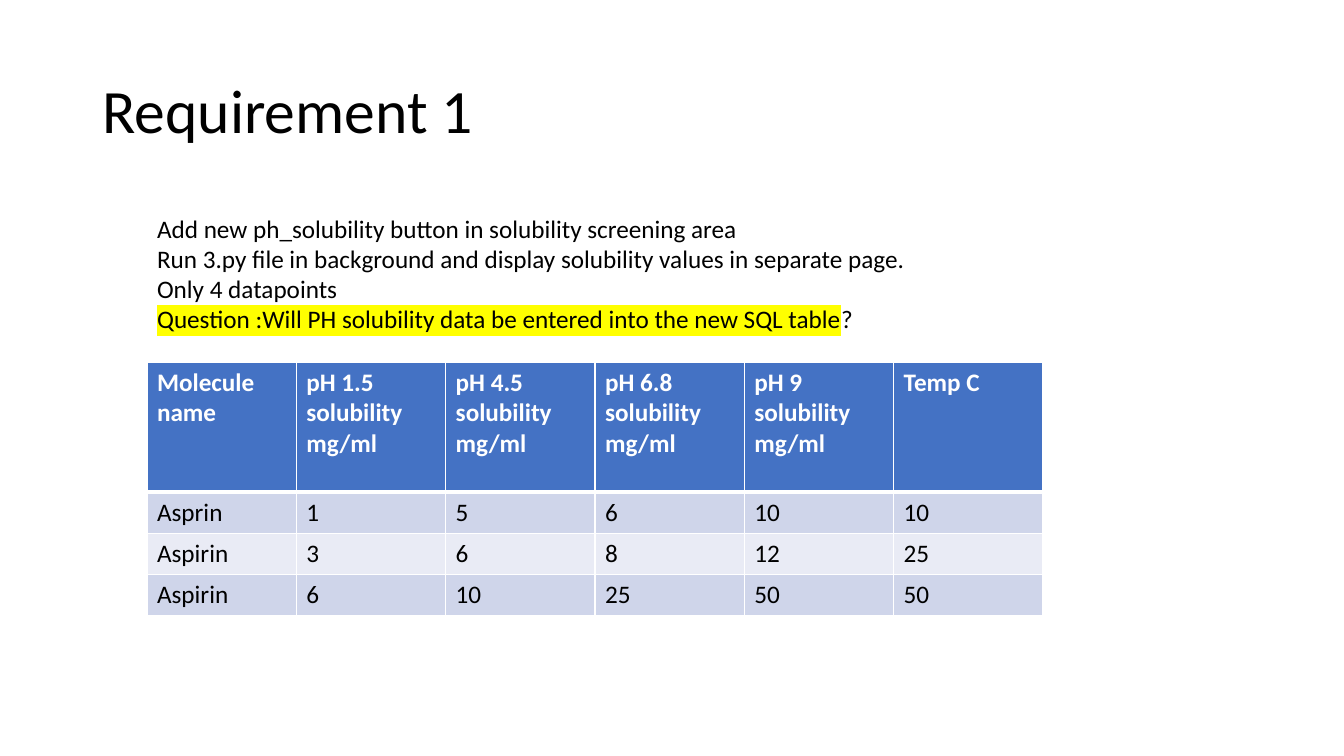
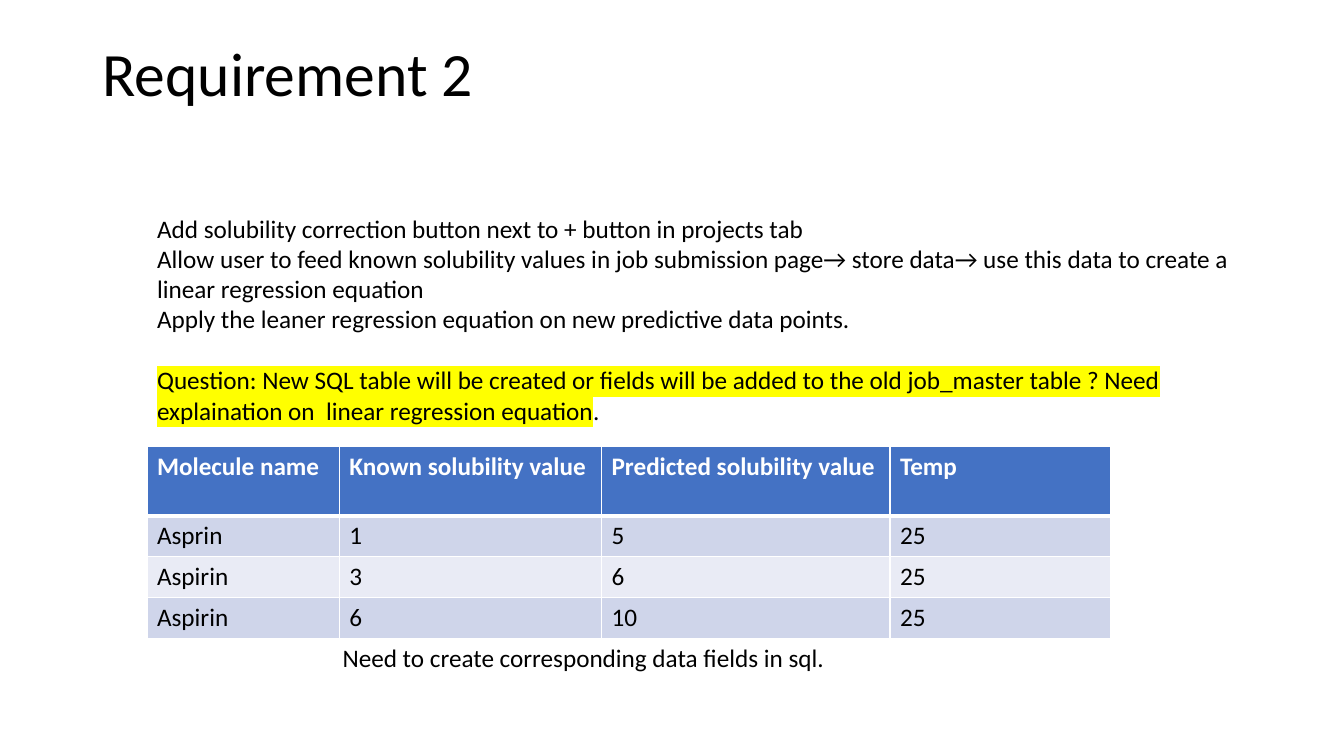
from lxml.etree import SubElement
from pptx import Presentation
from pptx.dml.color import RGBColor
from pptx.enum.text import MSO_ANCHOR, MSO_AUTO_SIZE, PP_ALIGN
from pptx.oxml.ns import qn
from pptx.util import Inches, Pt

UNIT = Inches(1) / 12
GRID_COLUMNS, GRID_ROWS = 160, 90
FONT = "Calibri"
BLACK, WHITE, YELLOW = "000000", "FFFFFF", "FFFF00"
HEADER_FILL = "4472C4"
BAND_FILLS = ("CFD5EA", "E9EBF5")
TITLE_SIZE, TEXT_SIZE = 44, 18
LINE_GAP = 22
LEFT = 17.5
BODY_TOP, BODY_WIDTH = 24.75, 131.5

REQUIREMENTS = [
    {
        "title": "Requirement 1",
        "title_top": 4.8,
        "lines": [
            "Add new ph_solubility button in solubility screening area",
            "Run 3.py file in background and display solubility values in separate page.",
            "Only 4 datapoints",
        ],
        "question": ("Question :Will PH solubility data be entered into the new SQL table", "?"),
        "question_gap": 0,
        "body_height": 15.75,
        "table_top": 43.1,
        "column_widths": [17.78] * 6,
        "row_heights": [15.5] + [4.89] * 3,
        "rows": [
            ["Molecule name", "pH 1.5 solubility mg/ml", "pH 4.5 solubility mg/ml",
             "pH 6.8 solubility mg/ml", "pH 9 solubility mg/ml", "Temp C"],
            ["Asprin", "1", "5", "6", "10", "10"],
            ["Aspirin", "3", "6", "8", "12", "25"],
            ["Aspirin", "6", "10", "25", "50", "50"],
        ],
    },
    {
        "title": "Requirement 2",
        "title_top": 0.4,
        "lines": [
            "Add solubility correction button next to + button in projects tab",
            "Allow user to feed known solubility values in job submission page→ store data"
            "→ use this data to create a linear regression equation",
            "Apply the leaner regression equation on new predictive data points.",
        ],
        "question": (
            "Question: New SQL table will be created or fields will be added to the old "
            "job_master table ? Need explaination on  linear regression equation", "."),
        "question_gap": LINE_GAP,
        "body_height": 27,
        "table_top": 53.1,
        "column_widths": [22.9, 31.2, 34.35, 26.25],
        "row_heights": [8.3] + [4.82] * 3,
        "rows": [
            ["Molecule name", "Known solubility value", "Predicted solubility value", "Temp"],
            ["Asprin", "1", "5", "25"],
            ["Aspirin", "3", "6", "25"],
            ["Aspirin", "6", "10", "25"],
        ],
        "caption": "Need to create corresponding data fields in sql.",
    },
]


def colour(value):
    return RGBColor.from_string(value)


def grid(*lengths):
    return [round(length * UNIT) for length in lengths]


def move(shape, box):
    shape.left, shape.top, shape.width, shape.height = grid(*box)


def style(para, size=TEXT_SIZE, hue=BLACK, bold=False):
    para.alignment = PP_ALIGN.LEFT
    para.space_before = Pt(0)
    para.font.name = FONT
    para.font.size = Pt(size)
    para.font.bold = bold
    para.font.color.rgb = colour(hue)


def remove_bullet(para):
    properties = para._p.get_or_add_pPr()
    properties.set("marL", "0")
    properties.set("indent", "0")
    properties.insert_element_before(
        properties.makeelement(qn("a:buNone"), {}), "a:tabLst", "a:defRPr", "a:extLst")


def highlight(span, hue):
    mark = SubElement(span._r.get_or_add_rPr(), qn("a:highlight"))
    SubElement(mark, qn("a:srgbClr")).set("val", hue)


def add_title(page, box, text):
    title = page.shapes.title
    move(title, box)
    frame = title.text_frame
    frame.auto_size = MSO_AUTO_SIZE.NONE
    frame.vertical_anchor = MSO_ANCHOR.MIDDLE
    frame.text = text
    para = frame.paragraphs[0]
    style(para, TITLE_SIZE)
    para.line_spacing = 0.9


def add_body(page, box, lines, question, question_gap):
    body = page.placeholders[1]
    move(body, box)
    frame = body.text_frame
    frame.auto_size = MSO_AUTO_SIZE.NONE
    frame.vertical_anchor = MSO_ANCHOR.TOP
    frame.text = "\n".join(lines)
    last = frame.add_paragraph()
    marked, ending = question
    for text in question:
        span = last.add_run()
        span.text = text
        if text == marked:
            highlight(span, YELLOW)
    for para in frame.paragraphs:
        style(para)
        remove_bullet(para)
    last.space_before = Pt(question_gap)


def add_borders(cell, top, bottom):
    properties = cell._tc.get_or_add_tcPr()
    for side, width in (("L", 1), ("R", 1), ("T", top), ("B", bottom)):
        line = SubElement(properties, qn(f"a:ln{side}"), w=str(Pt(width)))
        fill = SubElement(line, qn("a:solidFill"))
        SubElement(fill, qn("a:srgbClr")).set("val", WHITE)


def add_data_table(page, left, top, column_widths, row_heights, rows):
    box = grid(left, top, sum(column_widths), sum(row_heights))
    table = page.shapes.add_table(len(rows), len(column_widths), *box).table
    for column, width in zip(table.columns, grid(*column_widths)):
        column.width = width
    for row, height in zip(table.rows, grid(*row_heights)):
        row.height = height
    for index, texts in enumerate(rows):
        header = index == 0
        for cell, text in zip(table.rows[index].cells, texts):
            add_borders(cell, 3 if index == 1 else 1, 3 if header else 1)
            cell.fill.solid()
            cell.fill.fore_color.rgb = colour(HEADER_FILL if header else BAND_FILLS[(index - 1) % 2])
            cell.text = text
            style(cell.text_frame.paragraphs[0], hue=WHITE if header else BLACK, bold=header)


def add_caption(page, box, text):
    frame = page.shapes.add_textbox(*grid(*box)).text_frame
    frame.word_wrap = True
    frame.text = text
    style(frame.paragraphs[0])


def add_requirement(deck, content):
    page = deck.slides.add_slide(deck.slide_layouts[1])
    add_title(page, (11, content["title_top"], 138, 17.4), content["title"])
    add_body(page, (LEFT, BODY_TOP, BODY_WIDTH, content["body_height"]),
             content["lines"], content["question"], content["question_gap"])
    add_data_table(page, LEFT, content["table_top"], content["column_widths"],
                   content["row_heights"], content["rows"])
    if "caption" in content:
        add_caption(page, (39.6, 75.85, 62, 4.85), content["caption"])


def main():
    deck = Presentation()
    deck.slide_width, deck.slide_height = grid(GRID_COLUMNS, GRID_ROWS)
    for content in REQUIREMENTS:
        add_requirement(deck, content)
    deck.save("out.pptx")


if __name__ == "__main__":
    main()
